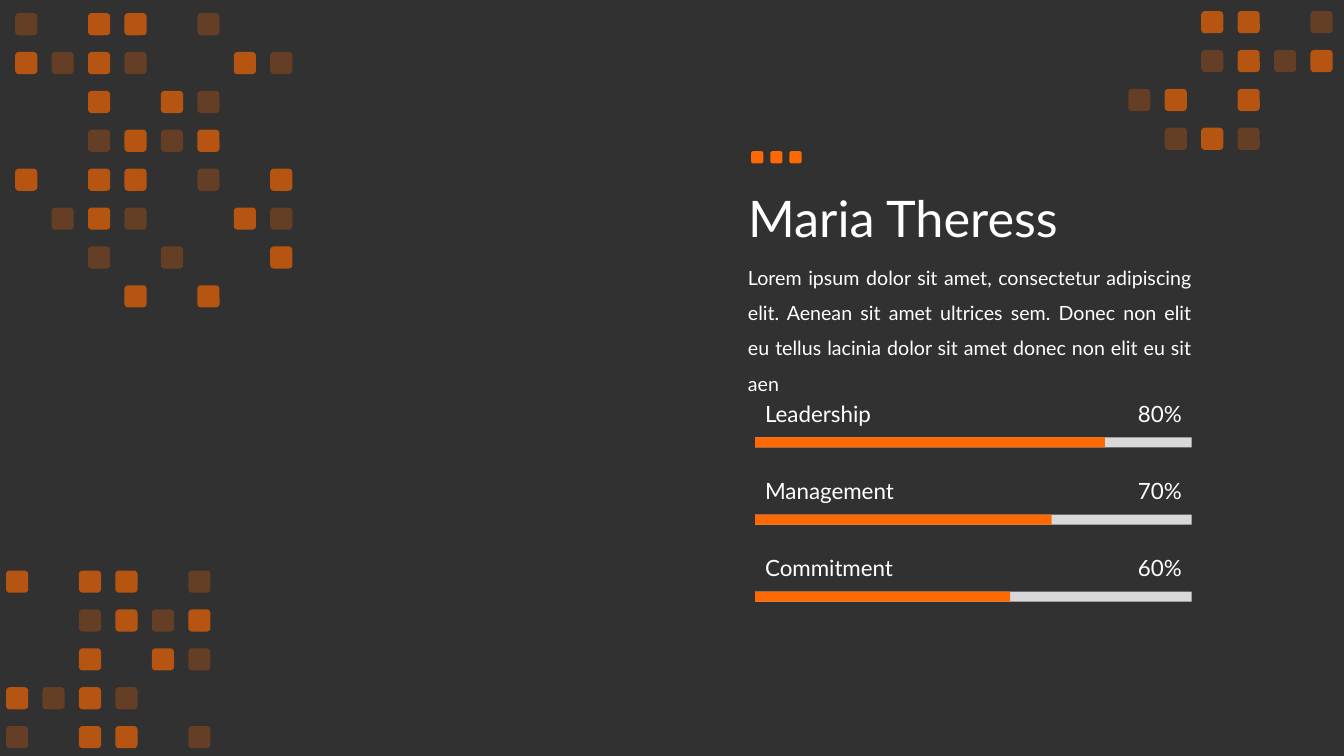
from lxml import etree
from pptx import Presentation
from pptx.dml.color import RGBColor
from pptx.enum.shapes import MSO_SHAPE
from pptx.enum.text import MSO_ANCHOR, MSO_AUTO_SIZE, PP_ALIGN
from pptx.oxml.ns import qn
from pptx.util import Inches, Pt

RECT, ROUND = MSO_SHAPE.RECTANGLE, MSO_SHAPE.ROUNDED_RECTANGLE
TOP, MID = MSO_ANCHOR.TOP, MSO_ANCHOR.MIDDLE
LEFT, RIGHT, JUST = PP_ALIGN.LEFT, PP_ALIGN.RIGHT, PP_ALIGN.JUSTIFY
FIT, FIXED = MSO_AUTO_SIZE.SHAPE_TO_FIT_TEXT, MSO_AUTO_SIZE.NONE

COLORS = {"back": "313131", "accent": "FE6902", "track": "D9D9D9", "text": "FFFFFF"}
ALPHA = {"#": 65, "o": 25}
STEP_X, STEP_Y = 2.53 / 7, 2.7 / 7
GRIDS = [
    (0.06, 5.66, ["#.##.o", "..o#o#", "..#.#o", "#o#o", "o.##.o"]),
    (0.15, 0.13, ["o.##.o", "#o#o..#o", "..#.#o", "..o#o#",
                  "#.##.o.#", ".o#o..#o", "..o.o..#", "...#.#"]),
    (11.19, 0.11, ["..##.o", "..o#o#", "o#.#", ".o#o"]),
]
SKILLS = [("Leadership", "80%", 3.47), ("Management", "70%", 2.94),
          ("Commitment", "60%", 2.53)]
BIO = ("Lorem ipsum dolor sit amet, consectetur adipiscing elit. Aenean sit amet "
       "ultrices sem. Donec non elit eu tellus lacinia dolor sit amet donec non "
       "elit eu sit aen")


def color(name):
    """Return the named colour."""
    return RGBColor.from_string(COLORS[name])


def place(shape, box):
    """Move and size a shape in inches."""
    shape.left, shape.top, shape.width, shape.height = map(Inches, box)


def write(shape, text, size=16, align=LEFT, anchor=MID, space=1.0, fit=FIT):
    """Put formatted text in a shape."""
    frame = shape.text_frame
    frame.word_wrap = True
    frame.auto_size = fit
    frame.vertical_anchor = anchor
    para = frame.paragraphs[0]
    para.alignment = align
    para.line_spacing = space
    run = para.add_run()
    run.text = text
    run.font.name = "Lato"
    run.font.size = Pt(size)
    run.font.color.rgb = color("text")


def label(slide, box, text, **form):
    """Add a text box."""
    write(slide.shapes.add_textbox(*map(Inches, box)), text, **form)


def block(shapes, kind, box, fill, alpha=100):
    """Add a filled shape without outline."""
    shape = shapes.add_shape(kind, *map(Inches, box))
    shape.shadow.inherit = False
    shape.line.fill.background()
    shape.fill.solid()
    shape.fill.fore_color.rgb = color(fill)
    if alpha < 100:
        tone = shape.element.spPr.find(qn("a:solidFill"))[0]
        etree.SubElement(tone, qn("a:alpha")).set("val", str(alpha * 1000))


def grid(slide, left, top, rows):
    """Draw a group of squares from a pattern of rows."""
    group = slide.shapes.add_group_shape()
    for row, line in enumerate(rows):
        for col, mark in enumerate(line):
            if mark in ALPHA:
                box = (left + col * STEP_X, top + row * STEP_Y, 0.22, 0.22)
                block(group.shapes, ROUND, box, "accent", ALPHA[mark])


def skill(slide, top, name, score, width):
    """Draw a skill with its score and bar."""
    block(slide.shapes, RECT, (7.49, top + 0.42, 4.33, 0.1), "track")
    block(slide.shapes, RECT, (7.49, top + 0.42, width, 0.1), "accent")
    label(slide, (7.49, top, 2.07, 0.37), name)
    label(slide, (10.76, top, 1.06, 0.37), score, align=RIGHT)


def main():
    """Build the profile slide."""
    deck = Presentation()
    deck.slide_width, deck.slide_height = Inches(13.33), Inches(7.5)
    slide = deck.slides.add_slide(deck.slide_layouts[5])
    slide.background.fill.solid()
    slide.background.fill.fore_color.rgb = color("back")

    for left, top, rows in GRIDS:
        grid(slide, left, top, rows)

    title = slide.shapes.title
    place(title, (7.32, 1.47, 11.5, 1.45))
    write(title, "Maria Theress", size=36, space=0.9, fit=FIXED)
    label(slide, (7.32, 2.47, 4.6, 1.11), BIO, size=14, align=JUST,
          anchor=TOP, space=1.5)

    for row, item in enumerate(SKILLS):
        skill(slide, 3.92 + row * 0.765, *item)

    dots = slide.shapes.add_group_shape()
    for col in range(3):
        block(dots.shapes, ROUND, (7.45 + col * 0.19, 1.5, 0.12, 0.12), "accent")

    deck.save("out.pptx")


if __name__ == "__main__":
    main()
